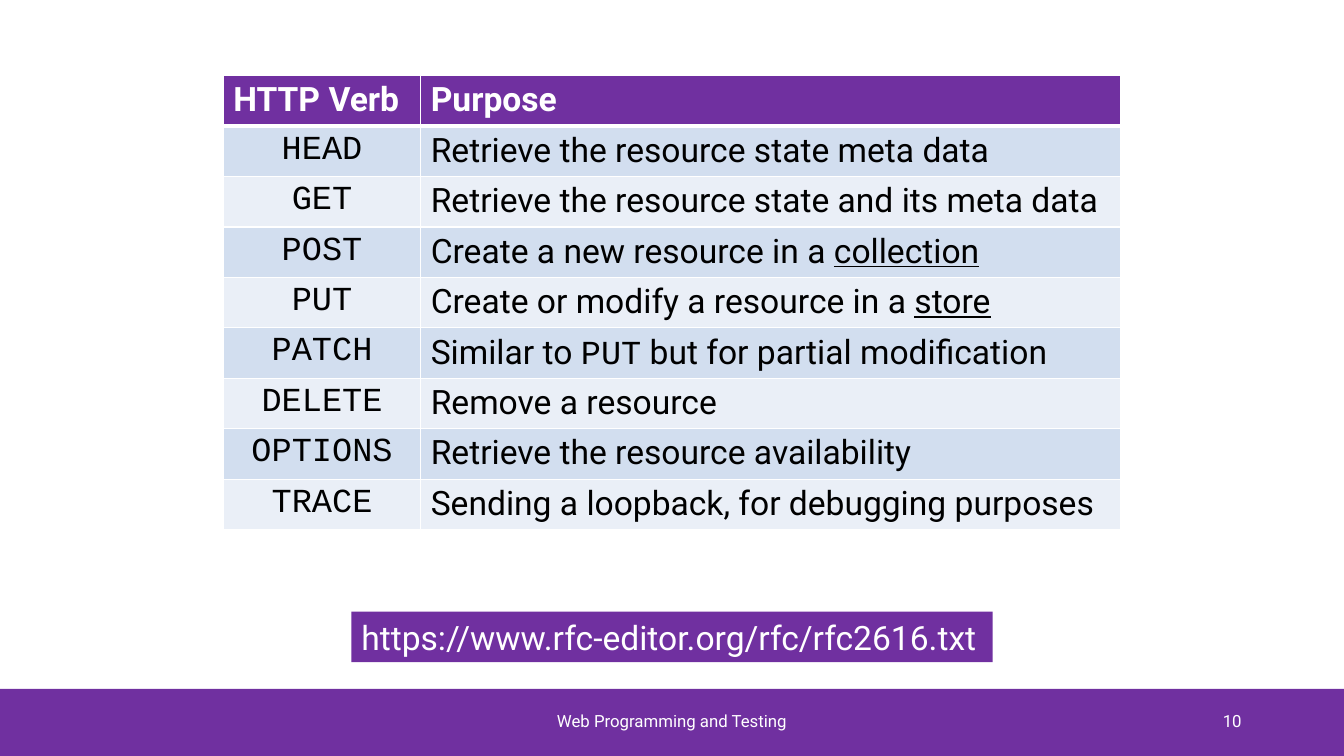
from lxml import etree
from pptx import Presentation
from pptx.dml.color import RGBColor
from pptx.enum.shapes import MSO_SHAPE
from pptx.enum.text import MSO_ANCHOR, PP_ALIGN
from pptx.oxml.ns import qn
from pptx.util import Pt

RECT = MSO_SHAPE.RECTANGLE
TOP, MIDDLE = MSO_ANCHOR.TOP, MSO_ANCHOR.MIDDLE
LEFT, CENTER, RIGHT = PP_ALIGN.LEFT, PP_ALIGN.CENTER, PP_ALIGN.RIGHT

COLORS = {"purple": "7030A0", "white": "FFFFFF", "black": "000000",
          "dark": "D2DEEF", "light": "EAEFF7"}

BODY = {"name": "Roboto", "size": Pt(24)}
HEAD = {**BODY, "bold": True}
CODE = {**BODY, "name": "Courier New"}
LINED = {**BODY, "underline": True}
SMALL = {**BODY, "size": Pt(12)}

# Each purpose is a list of (text, format) runs
VERBS = [
    ("HEAD", [("Retrieve the resource state meta data", BODY)]),
    ("GET", [("Retrieve the resource state and its meta data", BODY)]),
    ("POST", [("Create a new resource in a ", BODY), ("collection", LINED)]),
    ("PUT", [("Create or modify a resource in a ", BODY), ("store", LINED)]),
    ("PATCH", [("Similar to ", BODY), ("PUT", CODE),
               (" but for partial modification", BODY)]),
    ("DELETE", [("Remove a resource", BODY)]),
    ("OPTIONS", [("Retrieve the resource availability", BODY)]),
    ("TRACE", [("Sending a loopback, for debugging purposes", BODY)]),
]


def color(name):
    return RGBColor.from_string(COLORS[name])


def write(frame, runs, ink, align=LEFT):
    para = frame.paragraphs[0]
    para.alignment = align
    for text, style in runs:
        run = para.add_run()
        run.text = text
        run.font.color.rgb = color(ink)
        for key, value in style.items():
            setattr(run.font, key, value)


def add_bar(slide, box, fill):
    bar = slide.shapes.add_shape(RECT, *map(Pt, box))
    bar.shadow.inherit = False
    bar.fill.solid()
    bar.fill.fore_color.rgb = color(fill)
    bar.line.fill.background()
    return bar


def add_label(slide, box, text, align):
    frame = slide.shapes.add_textbox(*map(Pt, box)).text_frame
    frame.word_wrap = True
    frame.vertical_anchor = MIDDLE
    write(frame, [(text, SMALL)], "white", align)


def add_edges(cell, base):
    # Borders must come before the fill in the cell properties
    props = cell._tc.get_or_add_tcPr()
    for side in ("lnL", "lnR", "lnT", "lnB"):
        width = base if side == "lnB" else 1
        edge = etree.SubElement(props, qn(f"a:{side}"), w=str(Pt(width)))
        fill = etree.SubElement(edge, qn("a:solidFill"))
        etree.SubElement(fill, qn("a:srgbClr"), val=COLORS["white"])


def fill_cell(cell, runs, fill, ink, align=LEFT, base=1):
    add_edges(cell, base)
    cell.fill.solid()
    cell.fill.fore_color.rgb = color(fill)
    write(cell.text_frame, runs, ink, align)


def add_verbs(slide, left, top, widths, height):
    count = len(VERBS) + 1
    box = (left, top, sum(widths), count * height)
    table = slide.shapes.add_table(count, 2, *map(Pt, box)).table
    for col, width in zip(table.columns, widths):
        col.width = Pt(width)
    for row in table.rows:
        row.height = Pt(height)
    for col, title in enumerate(("HTTP Verb", "Purpose")):
        fill_cell(table.cell(0, col), [(title, HEAD)], "purple", "white", base=3)
    for row, (verb, runs) in enumerate(VERBS, 1):
        band = "dark" if row % 2 else "light"
        fill_cell(table.cell(row, 0), [(verb, CODE)], band, "black", CENTER)
        fill_cell(table.cell(row, 1), runs, band, "black")


def main():
    deck = Presentation()
    deck.slide_width, deck.slide_height = Pt(960), Pt(540)
    slide = deck.slides.add_slide(deck.slide_layouts[6])

    # Footer
    add_bar(slide, (0, 492, 960, 48), "purple")
    add_label(slide, (815, 500.5, 79, 28.8), "10", RIGHT)
    add_label(slide, (318, 500.5, 324, 28.8), "Web Programming and Testing", CENTER)

    # Address
    frame = add_bar(slide, (251, 437, 458, 36), "purple").text_frame
    frame.word_wrap = False
    frame.vertical_anchor = TOP
    write(frame, [("https://www.rfc-editor.org/rfc/rfc2616.txt", BODY)], "white")

    # Verbs
    add_verbs(slide, 159.5, 54, (141, 500), 36)

    deck.save("out.pptx")


if __name__ == "__main__":
    main()
